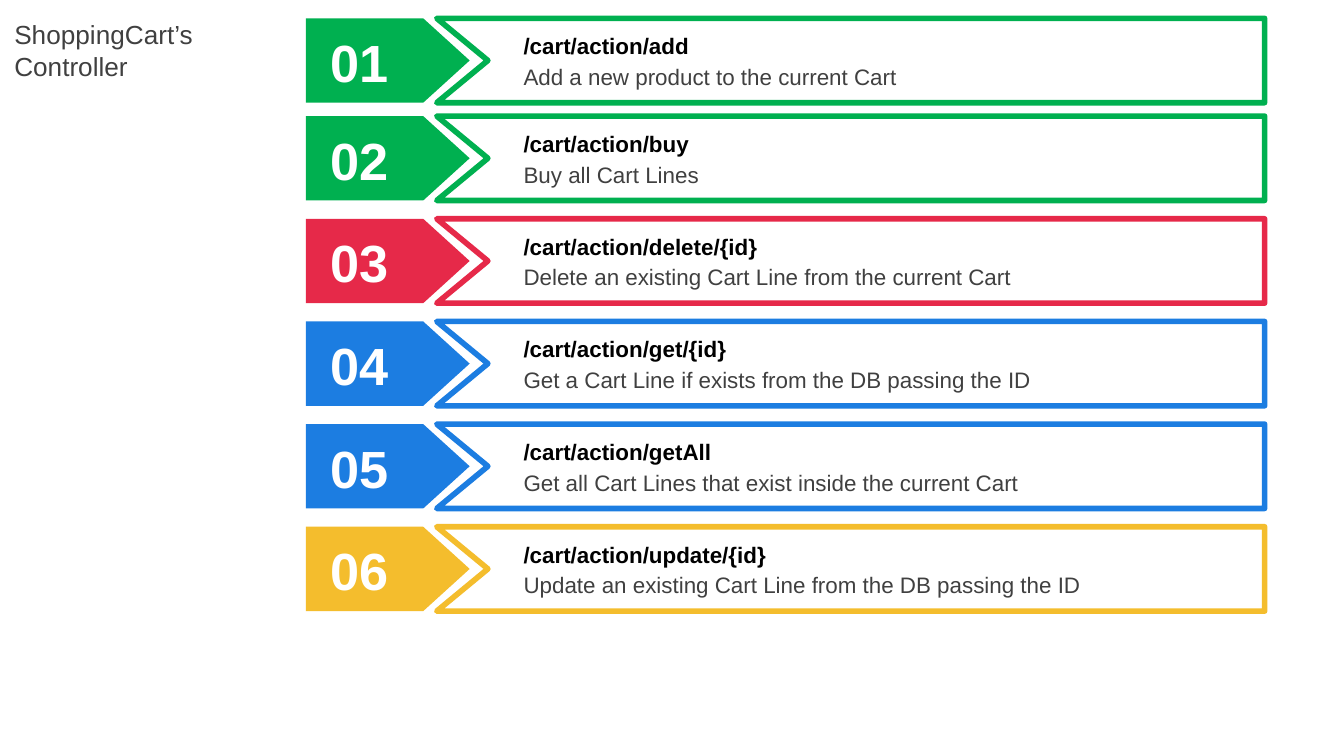
import pptx
import pptx.dml.color
import pptx.enum.shapes
import pptx.enum.text
import pptx.util

Pt = pptx.util.Pt
MIDDLE = pptx.enum.text.MSO_ANCHOR.MIDDLE
TOP = pptx.enum.text.MSO_ANCHOR.TOP


def rgb(hex_color):
    return pptx.dml.color.RGBColor.from_string(hex_color)


def add_label(shapes, text, box, size, color, bold=False, anchor=TOP, inset=3.6):
    """Add wrapped text; box is left, top, width, height and inset is top and bottom, in points."""
    label = shapes.add_textbox(*map(Pt, box))
    frame = label.text_frame
    frame.word_wrap = True
    frame.vertical_anchor = anchor
    frame.margin_top = frame.margin_bottom = Pt(inset)
    paragraph = frame.paragraphs[0]
    paragraph.text = text
    paragraph.font.name = "Arial"
    paragraph.font.size = Pt(size)
    paragraph.font.bold = bold
    paragraph.font.color.rgb = rgb(color)


GREEN, RED, BLUE, YELLOW = "00B050", "E62949", "1C7DE1", "F4BD2D"
GRAY = "404040"

endpoints = [
    ("/cart/action/add", "Add a new product to the current Cart", GREEN),
    ("/cart/action/buy", "Buy all Cart Lines", GREEN),
    ("/cart/action/delete/{id}", "Delete an existing Cart Line from the current Cart", RED),
    ("/cart/action/get/{id}", "Get a Cart Line if exists from the DB passing the ID", BLUE),
    ("/cart/action/getAll", "Get all Cart Lines that exist inside the current Cart", BLUE),
    ("/cart/action/update/{id}", "Update an existing Cart Line from the DB passing the ID", YELLOW),
]

# The first row stands slightly closer to the second than the regular pitch.
FIRST_TOP, SECOND_TOP, PITCH = 9.8, 62.2, 55
ROW_HEIGHT = 45.2
FRAME_LEFT, FRAME_RIGHT, NOTCH = 234, 677.5, 261.4

deck = pptx.Presentation()
deck.slide_width, deck.slide_height = Pt(720), Pt(405)
slide = deck.slides.add_slide(deck.slide_layouts[6])

add_label(slide.shapes, "ShoppingCart’s Controller", (0.6, 4.5, 116, 44.6), 14, GRAY, anchor=MIDDLE)

for index, (route, description, color) in enumerate(endpoints):
    top = SECOND_TOP + PITCH * (index - 1) if index else FIRST_TOP
    bottom = top + ROW_HEIGHT

    arrow = slide.shapes.add_shape(
        pptx.enum.shapes.MSO_SHAPE.PENTAGON, Pt(163.8), Pt(top), Pt(87.8), Pt(ROW_HEIGHT))
    arrow.adjustments[0] = 0.55
    arrow.shadow.inherit = False
    arrow.fill.solid()
    arrow.fill.fore_color.rgb = rgb(color)
    arrow.line.fill.background()

    outline = slide.shapes.build_freeform(Pt(FRAME_LEFT), Pt(top))
    corners = [(FRAME_RIGHT, top), (FRAME_RIGHT, bottom), (FRAME_LEFT, bottom),
               (NOTCH, top + ROW_HEIGHT / 2)]
    outline.add_line_segments([(Pt(x), Pt(y)) for x, y in corners], close=True)
    frame = outline.convert_to_shape()
    frame.shadow.inherit = False
    frame.fill.solid()
    frame.fill.fore_color.rgb = rgb("FFFFFF")
    frame.line.color.rgb = rgb(color)
    frame.line.width = Pt(3)

    add_label(slide.shapes, f"{index + 1:02}", (170, top + 6.2, 47.6, 33.8), 28, "FFFFFF",
              bold=True, anchor=MIDDLE, inset=0)
    entry = slide.shapes.add_group_shape().shapes
    add_label(entry, route, (273.4, top + 4, 381.6, 21.8), 12, "000000", bold=True)
    add_label(entry, description, (273.4, top + 20.4, 381.6, 21.8), 12, GRAY)

deck.save("out.pptx")
